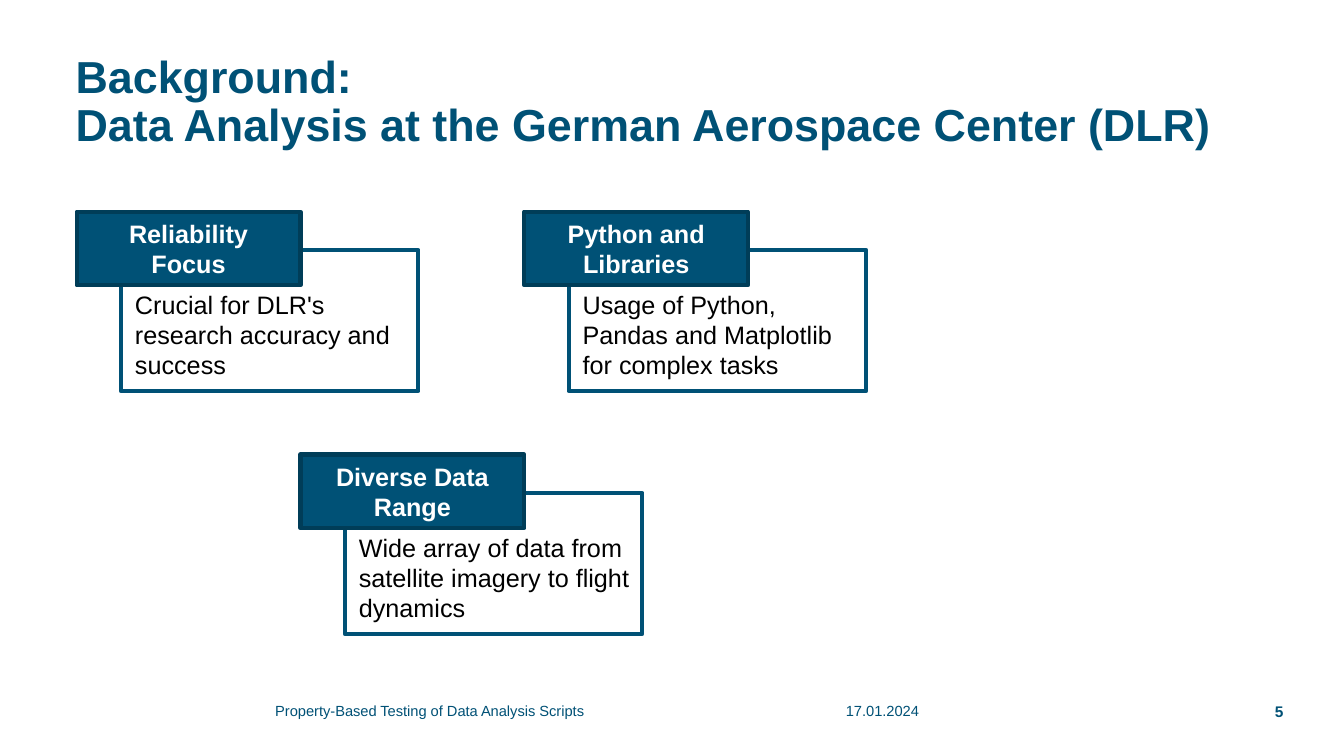
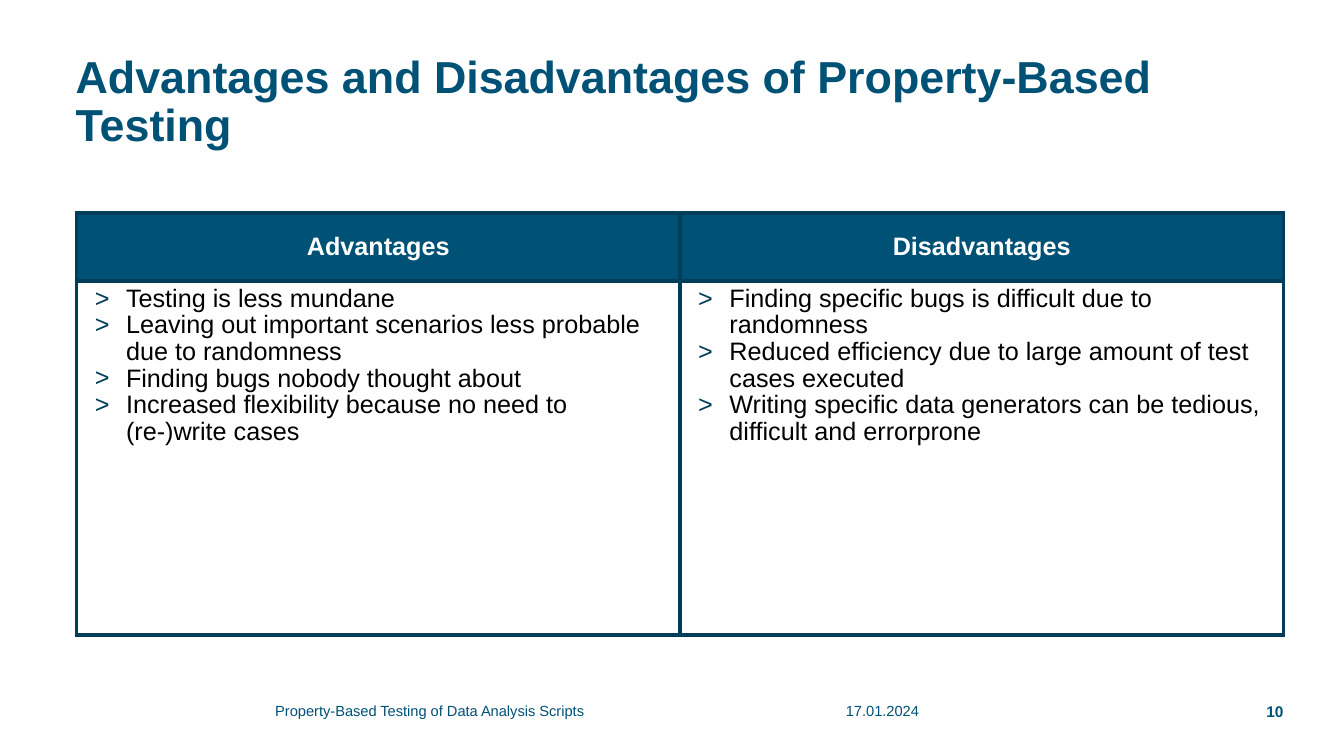
from lxml import etree
from pptx import Presentation
from pptx.dml.color import RGBColor
from pptx.enum.shapes import MSO_SHAPE
from pptx.enum.text import MSO_ANCHOR, MSO_AUTO_SIZE, PP_ALIGN
from pptx.oxml.ns import qn
from pptx.util import Inches, Pt

BLUE = RGBColor(0x00, 0x51, 0x76)
DARK = RGBColor(0x00, 0x3D, 0x58)
WHITE = RGBColor(0xFF, 0xFF, 0xFF)
BLACK = RGBColor(0x00, 0x00, 0x00)
FONT = "Arial"
RECT = MSO_SHAPE.RECTANGLE
TOP, MIDDLE = MSO_ANCHOR.TOP, MSO_ANCHOR.MIDDLE
LEFT, CENTER, RIGHT = PP_ALIGN.LEFT, PP_ALIGN.CENTER, PP_ALIGN.RIGHT
NO_AUTOFIT = MSO_AUTO_SIZE.NONE
TITLE_ONLY = 5

# Card geometry
TAB_W, TAB_H = 2.22, 0.73
BODY_W, BODY_H = 2.95, 1.4
BODY_DX, BODY_DY = 0.44, 0.38

FOOTER = "Property-Based Testing of Data Analysis Scripts"
DATE = "17.01.2024"

CARDS = [
    (0.76, 2.1, "Reliability\nFocus",
     "Crucial for DLR's research accuracy and success"),
    (5.2, 2.1, "Python and Libraries",
     "Usage of Python, Pandas and Matplotlib for complex tasks"),
    (2.98, 4.51, "Diverse Data Range",
     "Wide array of data from satellite imagery to flight dynamics"),
]

COLUMNS = [
    ("Advantages", [
        "Testing is less mundane",
        "Leaving out important scenarios less probable due to randomness",
        "Finding bugs nobody thought about",
        "Increased flexibility because no need to\n(re-)write cases",
    ]),
    ("Disadvantages", [
        "Finding specific bugs is difficult due to randomness",
        "Reduced efficiency due to large amount of test cases executed",
        "Writing specific data generators can be tedious, difficult and "
        "errorprone",
    ]),
]


# Text
def write(p, text, size, color, bold=False, align=LEFT):
    """Fill a paragraph; a newline in the text is a line break."""
    p.alignment = align
    for i, line in enumerate(text.split("\n")):
        if i:
            p.add_line_break()
        r = p.add_run()
        r.text = line
        r.font.name = FONT
        r.font.size = Pt(size)
        r.font.bold = bold
        r.font.color.rgb = color


def set_frame(tf, anchor, margins):
    tf.word_wrap = True
    tf.auto_size = NO_AUTOFIT
    tf.vertical_anchor = anchor
    (tf.margin_left, tf.margin_top,
     tf.margin_right, tf.margin_bottom) = map(Inches, margins)


def add_bullet(p):
    pPr = p._p.get_or_add_pPr()
    pPr.set("marL", str(Inches(0.39)))
    pPr.set("indent", str(Inches(-0.31)))
    bu_color = etree.SubElement(pPr, qn("a:buClr"))
    etree.SubElement(bu_color, qn("a:srgbClr"), val=str(DARK))
    etree.SubElement(pPr, qn("a:buFont"), typeface=FONT)
    etree.SubElement(pPr, qn("a:buChar"), char=">")


# Shared slide parts
def add_footer_text(s, left, width, text, size, bold=False, align=LEFT):
    sp = s.shapes.add_textbox(Inches(left), Inches(6.92),
                              Inches(width), Inches(0.27))
    set_frame(sp.text_frame, MIDDLE, (0, 0, 0, 0))
    write(sp.text_frame.paragraphs[0], text, size, BLUE, bold, align)


def add_slide(prs, title, number):
    s = prs.slides.add_slide(prs.slide_layouts[TITLE_ONLY])
    sp = s.shapes.title
    sp.left, sp.top = Inches(0.75), Inches(0.54)
    sp.width, sp.height = Inches(11.98), Inches(1.33)
    set_frame(sp.text_frame, TOP, (0, 0, 0, 0))
    p = sp.text_frame.paragraphs[0]
    p.line_spacing = 0.9
    write(p, title, 32, BLUE, True)
    add_footer_text(s, 2.73, 5.65, FOOTER, 10.5)
    add_footer_text(s, 8.39, 1.34, DATE, 10.5)
    add_footer_text(s, 9.73, 3, str(number), 11, True, RIGHT)
    return s


# Cards
def add_box(group, left, top, width, height, line):
    sp = group.shapes.add_shape(RECT, Inches(left), Inches(top),
                                Inches(width), Inches(height))
    sp.shadow.inherit = False
    sp.fill.background()
    sp.line.color.rgb = line
    sp.line.width = Pt(3)
    return sp


def add_card(s, left, top, heading, text):
    group = s.shapes.add_group_shape()
    body = add_box(group, left + BODY_DX, top + BODY_DY, BODY_W, BODY_H, BLUE)
    set_frame(body.text_frame, TOP, (0.1, 0.39, 0.1, 0.05))
    p = body.text_frame.paragraphs[0]
    p._p.get_or_add_pPr().set("marL", str(Inches(0.04)))
    write(p, text, 18, BLACK)

    tab = add_box(group, left, top, TAB_W, TAB_H, DARK)
    tab.fill.solid()
    tab.fill.fore_color.rgb = BLUE
    set_frame(tab.text_frame, MIDDLE, (0.1, 0.05, 0.1, 0.05))
    write(tab.text_frame.paragraphs[0], heading, 18, WHITE, True, CENTER)


# Table
def set_borders(cell):
    tcPr = cell._tc.get_or_add_tcPr()
    for side in ("lnL", "lnR", "lnT", "lnB"):
        ln = etree.SubElement(tcPr, qn("a:" + side), w=str(Pt(3)))
        fill = etree.SubElement(ln, qn("a:solidFill"))
        etree.SubElement(fill, qn("a:srgbClr"), val=str(DARK))


def add_comparison(s, columns):
    frame = s.shapes.add_table(2, len(columns), Inches(0.76), Inches(2.11),
                               Inches(11.97), Inches(4.19))
    table = frame.table
    table.first_row = table.horz_banding = False
    table.rows[0].height = Inches(0.68)
    table.rows[1].height = Inches(3.51)
    for col, (heading, items) in enumerate(columns):
        head, body = table.cell(0, col), table.cell(1, col)
        for cell in (head, body):
            set_borders(cell)
        head.fill.solid()
        head.fill.fore_color.rgb = BLUE
        head.vertical_anchor = MIDDLE
        write(head.text_frame.paragraphs[0], heading, 18, WHITE, True, CENTER)

        body.fill.background()
        tf = body.text_frame
        for i, item in enumerate(items):
            p = tf.add_paragraph() if i else tf.paragraphs[0]
            add_bullet(p)
            p.line_spacing = 0.94
            write(p, item, 18, BLACK)


def main():
    prs = Presentation()
    prs.slide_width, prs.slide_height = Inches(13.33), Inches(7.5)

    s = add_slide(prs, "Background:\nData Analysis at the German Aerospace "
                       "Center (DLR)", 5)
    for card in CARDS:
        add_card(s, *card)

    s = add_slide(prs, "Advantages and Disadvantages of Property-Based "
                       "Testing", 10)
    add_comparison(s, COLUMNS)

    prs.save("out.pptx")


if __name__ == "__main__":
    main()
